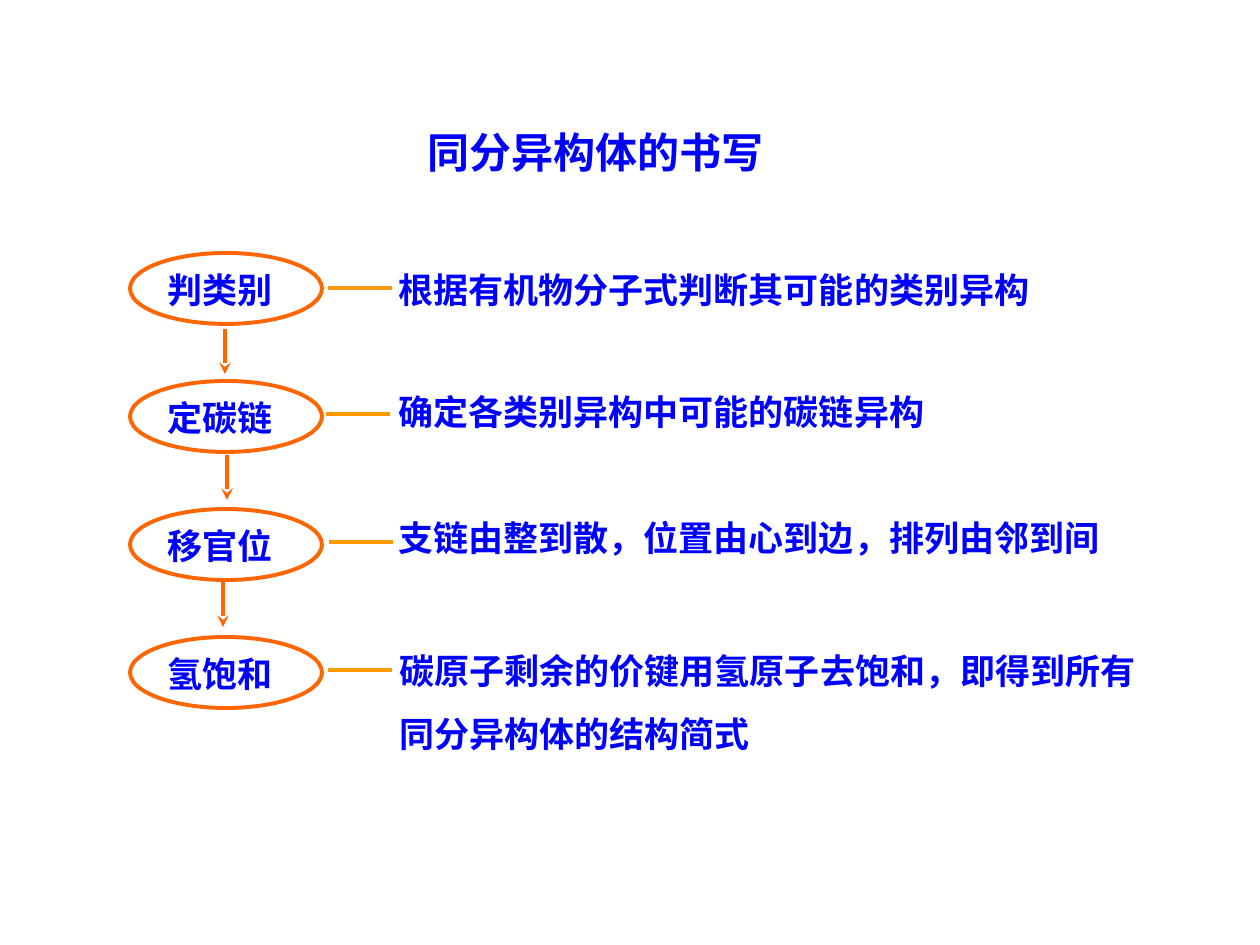
from lxml.etree import SubElement
from pptx import Presentation
from pptx.dml.color import RGBColor
from pptx.enum.shapes import MSO_CONNECTOR, MSO_SHAPE
from pptx.enum.text import MSO_AUTO_SIZE
from pptx.oxml.ns import qn
from pptx.util import Pt

EMU_PER_PX = 914400 / 126
FONT = "Noto Sans CJK SC"
BLUE, ORANGE, AMBER = "0000FF", "FF6600", "FF9900"
FIRST_ROW, ROW_PITCH = 253, 128

# Step name, link start (x, y), explanation box (x, y, w, h), line spacing, text
STEPS = [
    ("判类别", (328, 288), (386, 262, 730, 55), 1, "根据有机物分子式判断其可能的类别异构"),
    ("定碳链", (326, 414), (386, 384, 730, 55), 1, "确定各类别异构中可能的碳链异构"),
    ("移官位", (329, 542), (386, 510, 796, 55), 1,
     "支链由整到散，位置由心到边，排列由邻到间"),
    ("氢饱和", (328, 670), (387, 622, 774, 139), 1.5,
     "碳原子剩余的价键用氢原子去饱和，即得到所有\n同分异构体的结构简式"),
]
# Start of each arrow between steps
ARROWS = [(225, 329), (227, 455), (223, 582)]


def px(value):
    return round(value * EMU_PER_PX)


def color(hex_string):
    return RGBColor.from_string(hex_string)


def add_text(shapes, text, place, size=20, spacing=1):
    box = shapes.add_textbox(*map(px, place))
    frame = box.text_frame
    frame.text = text
    frame.word_wrap = True
    frame.auto_size = MSO_AUTO_SIZE.SHAPE_TO_FIT_TEXT
    for para in frame.paragraphs:
        para.line_spacing = float(spacing)
        for span in para.runs:
            span.font.size = Pt(size)
            span.font.bold = True
            span.font.color.rgb = color(BLUE)
            span.font.name = FONT
            # East Asian glyphs take their own typeface
            SubElement(span.font._element, qn("a:ea"), typeface=FONT)


def add_step(page, name, top):
    group = page.shapes.add_group_shape()
    oval = group.shapes.add_shape(MSO_SHAPE.OVAL, px(130), px(top), px(192), px(71))
    oval.shadow.inherit = False
    oval.fill.background()
    oval.line.color.rgb = color(ORANGE)
    oval.line.width = Pt(2.25)
    add_text(group.shapes, name, (155, top - 3, 237, 68), spacing=1.3)


def add_line(page, start, run, drop, line_color, arrow=False):
    x, y = start
    line = page.shapes.add_connector(
        MSO_CONNECTOR.STRAIGHT, px(x), px(y), px(x + run), px(y + drop))
    line.line.color.rgb = color(line_color)
    line.line.width = Pt(2.25)
    if arrow:
        SubElement(line.line._get_or_add_ln(), qn("a:tailEnd"), type="stealth")
    SubElement(line._element.spPr, qn("a:effectLst"))


def main():
    deck = Presentation()
    deck.slide_width, deck.slide_height = px(1260), px(945)
    page = deck.slides.add_slide(deck.slide_layouts[6])

    # Title
    add_text(page.shapes, "同分异构体的书写", (415, 120, 408, 63), size=24)

    # Steps with their explanations
    for row, (name, link, place, spacing, text) in enumerate(STEPS):
        add_step(page, name, FIRST_ROW + row * ROW_PITCH)
        add_text(page.shapes, text, place, spacing=spacing)
        add_line(page, link, 64, 0, AMBER)

    # Arrows from step to step
    for start in ARROWS:
        add_line(page, start, 0, 45, ORANGE, arrow=True)

    deck.save("out.pptx")


if __name__ == "__main__":
    main()
